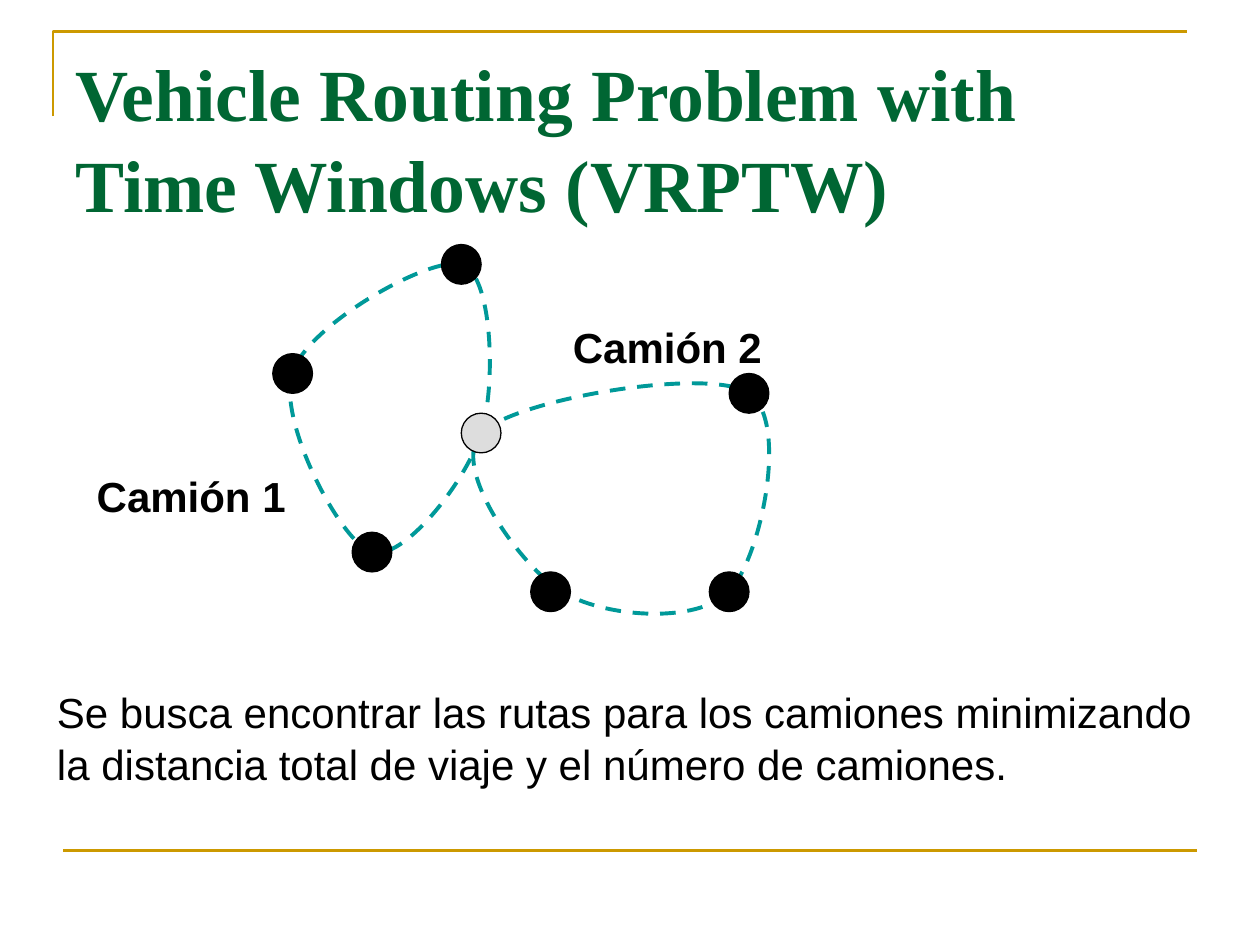
"""Build the slide on the Vehicle Routing Problem with Time Windows."""
import pptx
import pptx.dml.color
import pptx.enum.dml
import pptx.enum.shapes
import pptx.enum.text
import pptx.oxml.ns
import pptx.oxml.xmlchemy
import pptx.util

Cm = pptx.util.Cm
Pt = pptx.util.Pt
GOLD = pptx.dml.color.RGBColor(0xCC, 0x99, 0x00)
GREEN = pptx.dml.color.RGBColor(0x00, 0x66, 0x33)
TEAL = pptx.dml.color.RGBColor(0x00, 0x99, 0x99)
BLACK = pptx.dml.color.RGBColor(0x00, 0x00, 0x00)
GREY = pptx.dml.color.RGBColor(0xDD, 0xDD, 0xDD)


def write_text(frame, text, font_name, size, color, bold):
    """Fill a text frame with one left-aligned run."""
    frame.word_wrap = True
    frame.vertical_anchor = pptx.enum.text.MSO_ANCHOR.TOP
    para = frame.paragraphs[0]
    para.alignment = pptx.enum.text.PP_ALIGN.LEFT
    para.line_spacing = 1.04
    span = para.add_run()
    span.text = text
    span.font.name = font_name
    span.font.size = Pt(size)
    span.font.bold = bold
    span.font.color.rgb = color


def draw_outline(points, color, width, closed):
    """Draw an unfilled outline through points given in centimetres."""
    corners = [(Cm(x), Cm(y)) for x, y in points]
    builder = slide.shapes.build_freeform(*corners[0])
    builder.add_line_segments(corners[1:], close=closed)
    outline = builder.convert_to_shape()
    outline.shadow.inherit = False
    outline.fill.background()
    outline.line.color.rgb = color
    outline.line.width = Pt(width)
    return outline


deck = pptx.Presentation()
deck.slide_width = Cm(25.4)
deck.slide_height = Cm(19.05)
slide = deck.slides.add_slide(deck.slide_layouts[5])

draw_outline([(1.07, 2.34), (1.07, 0.64), (23.93, 0.64)], GOLD, 1.5, False)

rule = slide.shapes.add_connector(
    pptx.enum.shapes.MSO_CONNECTOR.STRAIGHT, Cm(1.27), Cm(17.15), Cm(24.13), Cm(17.15))
rule.line.color.rgb = GOLD
rule.line.width = Pt(1.5)
rule_properties = rule._element.find(pptx.oxml.ns.qn("p:spPr"))
rule_properties.append(pptx.oxml.xmlchemy.OxmlElement("a:effectLst"))

title = slide.shapes.title
title.left, title.top, title.width, title.height = Cm(1.27), Cm(0.76), Cm(22.86), Cm(3.18)
title.text_frame.auto_size = pptx.enum.text.MSO_AUTO_SIZE.NONE
write_text(title.text_frame, "Vehicle Routing Problem with Time Windows (VRPTW)",
           "Times New Roman", 42, GREEN, True)

labels = [
    ("Se busca encontrar las rutas para los camiones minimizando la distancia total "
     "de viaje y el número de camiones.", 0.9, 13.67, 23.8, 2.29, False),
    ("Camión 1", 1.7, 9.32, 4.8, 1.27, True),
    ("Camión 2", 11.3, 6.32, 5, 1.27, True),
]
for text, left, top, width, height, bold in labels:
    box = slide.shapes.add_textbox(Cm(left), Cm(top), Cm(width), Cm(height))
    write_text(box.text_frame, text, "Arial", 24, BLACK, bold)

depot_join = (9.7, 8.74)
routes = [
    [depot_join, (9.4, 9.7), (8.13, 11.33), (7.49, 11.13),
     (6.86, 10.92), (5.59, 8.48), (5.89, 7.52),
     (6.2, 6.55), (8.66, 5.16), (9.3, 5.33),
     (9.93, 5.49), (10.01, 7.77), depot_join],
    [depot_join, (10.34, 8.05), (14.27, 7.39), (15.09, 7.92),
     (15.93, 8.46), (15.34, 11.25), (14.71, 11.91),
     (14.07, 12.6), (12.14, 12.45), (11.3, 11.91),
     (10.46, 11.38), (9.07, 9.4), depot_join],
]
for points in routes:
    route = draw_outline(points, TEAL, 2.25, True)
    route.line.dash_style = pptx.enum.dml.MSO_LINE.DASH
    segments = list(route._element.iter(pptx.oxml.ns.qn("a:lnTo")))
    for start in range(0, len(segments), 3):
        curve = pptx.oxml.xmlchemy.OxmlElement("a:cubicBezTo")
        segments[start].addprevious(curve)
        for segment in segments[start:start + 3]:
            curve.append(segment[0])
            segment.getparent().remove(segment)

stops = [
    (5.5, 7.13, BLACK), (7.1, 10.73, BLACK), (14.3, 11.53, BLACK), (14.7, 7.53, BLACK),
    (8.9, 4.93, BLACK), (9.3, 8.33, GREY), (10.7, 11.53, BLACK),
]
for left, top, color in stops:
    stop = slide.shapes.add_shape(
        pptx.enum.shapes.MSO_SHAPE.OVAL, Cm(left), Cm(top), Cm(0.8), Cm(0.8))
    stop.shadow.inherit = False
    stop.fill.solid()
    stop.fill.fore_color.rgb = color
    stop.line.color.rgb = BLACK
    stop.line.width = Pt(0.75)

deck.save("out.pptx")
